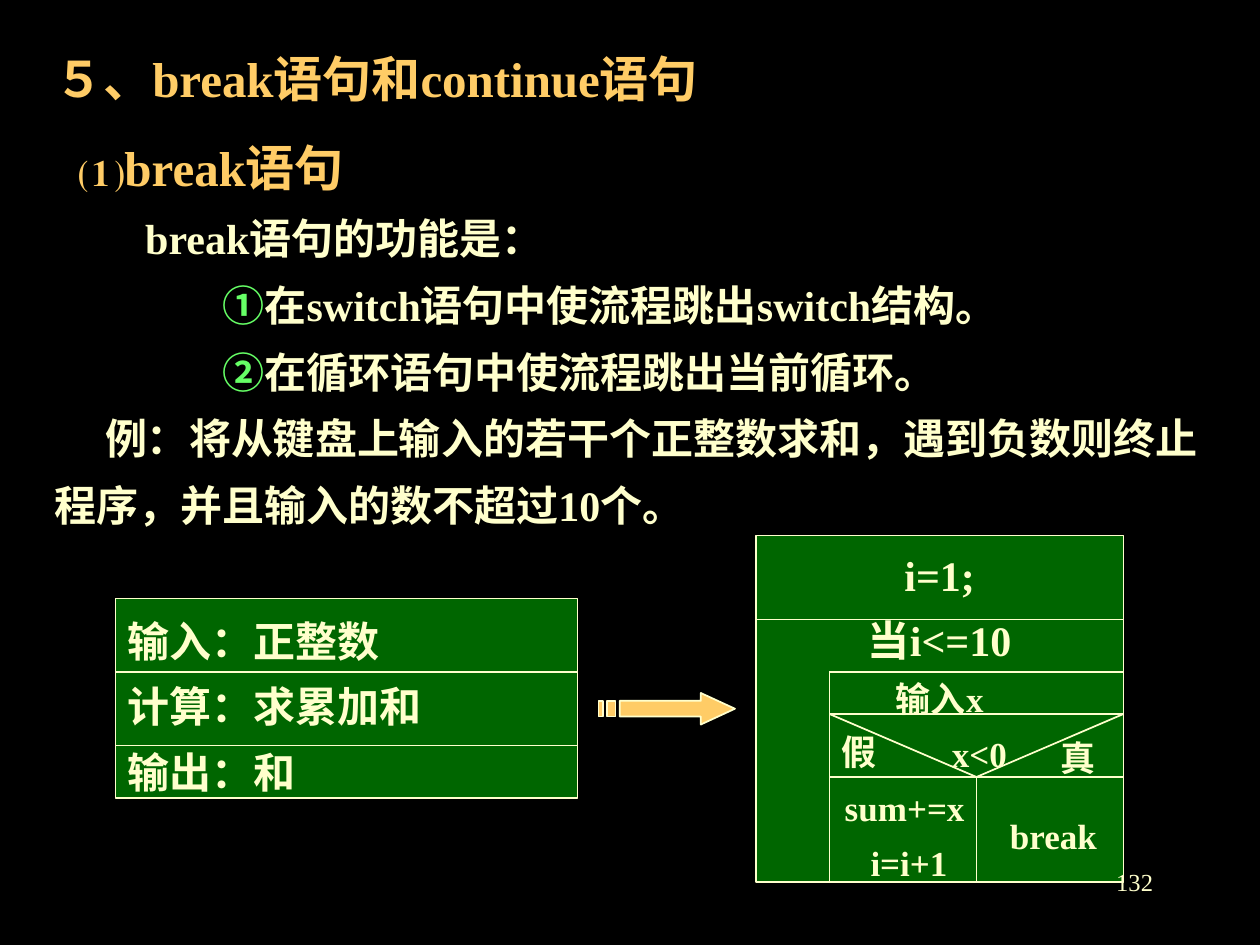
from dataclasses import dataclass

from lxml.etree import SubElement
from pptx import Presentation
from pptx.dml.color import RGBColor
from pptx.enum.shapes import MSO_CONNECTOR, MSO_SHAPE
from pptx.enum.text import MSO_ANCHOR, PP_ALIGN
from pptx.oxml.ns import qn
from pptx.util import Cm, Length, Pt

COLORS = {"back": "000000", "cream": "FFFFCC", "gold": "FFCC66",
          "green": "006600", "mark": "66FF66"}
SERIF = "Times New Roman"


@dataclass
class Run:
    text: str
    size: float = 24
    color: str = "cream"
    font: str = SERIF
    bold: bool = True


@dataclass
class Para:
    runs: list[Run]
    before: float = 0
    spacing: float = 1.0
    indent: float = 0  # cm
    align: PP_ALIGN = PP_ALIGN.LEFT


@dataclass
class Area:
    """A place on the grid, in units of u()."""
    left: float
    top: float
    width: float
    height: float


def u(n: float) -> Length:
    """Grid unit: twelve to the inch."""
    return Cm(n * 2.54 / 12)


def rgb(name: str) -> RGBColor:
    return RGBColor.from_string(COLORS[name])


def write(tf, paras: list[Para]) -> None:
    tf.word_wrap = True
    for i, para in enumerate(paras):
        p = tf.paragraphs[0] if i == 0 else tf.add_paragraph()
        p.alignment = para.align
        p.space_before = Pt(para.before)
        p.line_spacing = para.spacing
        if para.indent:
            p._p.get_or_add_pPr().set("marL", str(Cm(para.indent)))
        for run in para.runs:
            r = p.add_run()
            r.text = run.text
            r.font.name = run.font
            r.font.size = Pt(run.size)
            r.font.bold = run.bold
            r.font.color.rgb = rgb(run.color)


def paint(sp, fill: str) -> None:
    sp.shadow.inherit = False
    sp.fill.solid()
    sp.fill.fore_color.rgb = rgb(fill)
    sp.line.color.rgb = rgb("cream")
    sp.line.width = Pt(1)


def add_text(s, a: Area, paras: list[Para]) -> None:
    box = s.shapes.add_textbox(u(a.left), u(a.top), u(a.width), u(a.height))
    write(box.text_frame, paras)


def add_panel(s, a: Area, paras: list[Para]) -> None:
    sp = s.shapes.add_shape(MSO_SHAPE.RECTANGLE, u(a.left), u(a.top),
                            u(a.width), u(a.height))
    paint(sp, "green")
    sp.text_frame.vertical_anchor = MSO_ANCHOR.MIDDLE
    write(sp.text_frame, paras)


def add_line(s, x1: float, y1: float, x2: float, y2: float) -> None:
    line = s.shapes.add_connector(MSO_CONNECTOR.STRAIGHT, u(x1), u(y1), u(x2), u(y2))
    line.line.color.rgb = rgb("cream")
    line.line.width = Pt(1)
    SubElement(line._element.spPr, qn("a:effectLst"))


def add_striped_arrow(s, a: Area) -> None:
    def at(fx: float, fy: float) -> tuple[int, int]:
        return u(a.left + fx * a.width), u(a.top + fy * a.height)

    def bar(x1: float, x2: float) -> list[tuple[float, float]]:
        return [(x1, 0.25), (x2, 0.25), (x2, 0.75), (x1, 0.75)]

    body = [(5 / 32, 0.25), (0.75, 0.25), (0.75, 0), (1, 0.5),
            (0.75, 1), (0.75, 0.75), (5 / 32, 0.75)]
    builder = s.shapes.build_freeform(*at(*body[0]))
    builder.add_line_segments([at(*pt) for pt in body[1:]], close=True)
    for stripe in (bar(0, 1 / 32), bar(1 / 16, 1 / 8)):
        builder.move_to(*at(*stripe[0]))
        builder.add_line_segments([at(*pt) for pt in stripe[1:]], close=True)
    paint(builder.convert_to_shape(), "gold")


def heading(text: str, indent: float = 0) -> Para:
    return Para([Run(text, 28, "gold")], before=17.5, indent=indent)


def body(text: str, indent: float = 0, mark: str = "") -> Para:
    marks = [Run(mark, color="mark", font="Arial")] if mark else []
    return Para(marks + [Run(text)], before=15, spacing=0.8, indent=indent)


def step(text: str, size: float = 24, indent: float = 0,
         align: PP_ALIGN = PP_ALIGN.LEFT) -> Para:
    return Para([Run(text, size)], spacing=1.3, indent=indent, align=align)


def main() -> None:
    prs = Presentation()
    prs.slide_width, prs.slide_height = u(120), u(90)
    s = prs.slides.add_slide(prs.slide_layouts[6])
    s.background.fill.solid()
    s.background.fill.fore_color.rgb = rgb("back")

    # Explanation
    add_text(s, Area(4, 4, 112, 47), [
        heading("５、break语句和continue语句"),
        heading("⑴break语句", 0.49),
        body("break语句的功能是：", 1.83),
        body("在switch语句中使流程跳出switch结构。", 3.39, "①"),
        body("在循环语句中使流程跳出当前循环。", 3.39, "②"),
        body("例：将从键盘上输入的若干个正整数求和，遇到负数则终止", 1.02),
        body("程序，并且输入的数不超过10个。"),
    ])

    # Outline of the task
    add_panel(s, Area(11, 57, 44, 19),
              [step(t) for t in ("输入：正整数", "计算：求累加和", "输出：和")])
    for y in (64, 71):
        add_line(s, 11, y, 55, y)

    add_striped_arrow(s, Area(57, 66, 13, 3))

    # Structured flow diagram
    left, inner, middle, right = 72, 79, 93, 107
    loop_top, branch_top, branch_end, bottom = 64, 68, 74, 84
    center = PP_ALIGN.CENTER
    add_panel(s, Area(left, 51, right - left, bottom - 51), [
        step("i=1;", align=center),
        step("当i<=10", align=center),
        step("输入x", 20, align=center),
        step("x<0", 20, 3.7),
        step("sum+=x", 20, 1.54),
        step("i=i+1", 20, 2.06),
    ])
    add_line(s, left, 59, right, 59)
    for y in (loop_top, branch_top, branch_end):
        add_line(s, inner, y, right, y)
    for x in (inner, right):
        add_line(s, x, branch_top, middle, branch_end)
    add_line(s, inner, loop_top, inner, bottom)
    add_line(s, middle, branch_end, middle, bottom)

    # Branch labels
    for text, area in (("真", Area(99.8, 69.6, 7, 5.3)),
                       ("假", Area(79, 69, 7, 5.3)),
                       ("break", Area(95, 77, 11, 5.3))):
        add_text(s, area, [Para([Run(text, 20)], before=12.5)])

    # Page number
    add_text(s, Area(86, 82, 25, 6),
             [Para([Run("132", 14, bold=False)], before=8.8, align=PP_ALIGN.RIGHT)])

    prs.save("out.pptx")


if __name__ == "__main__":
    main()
